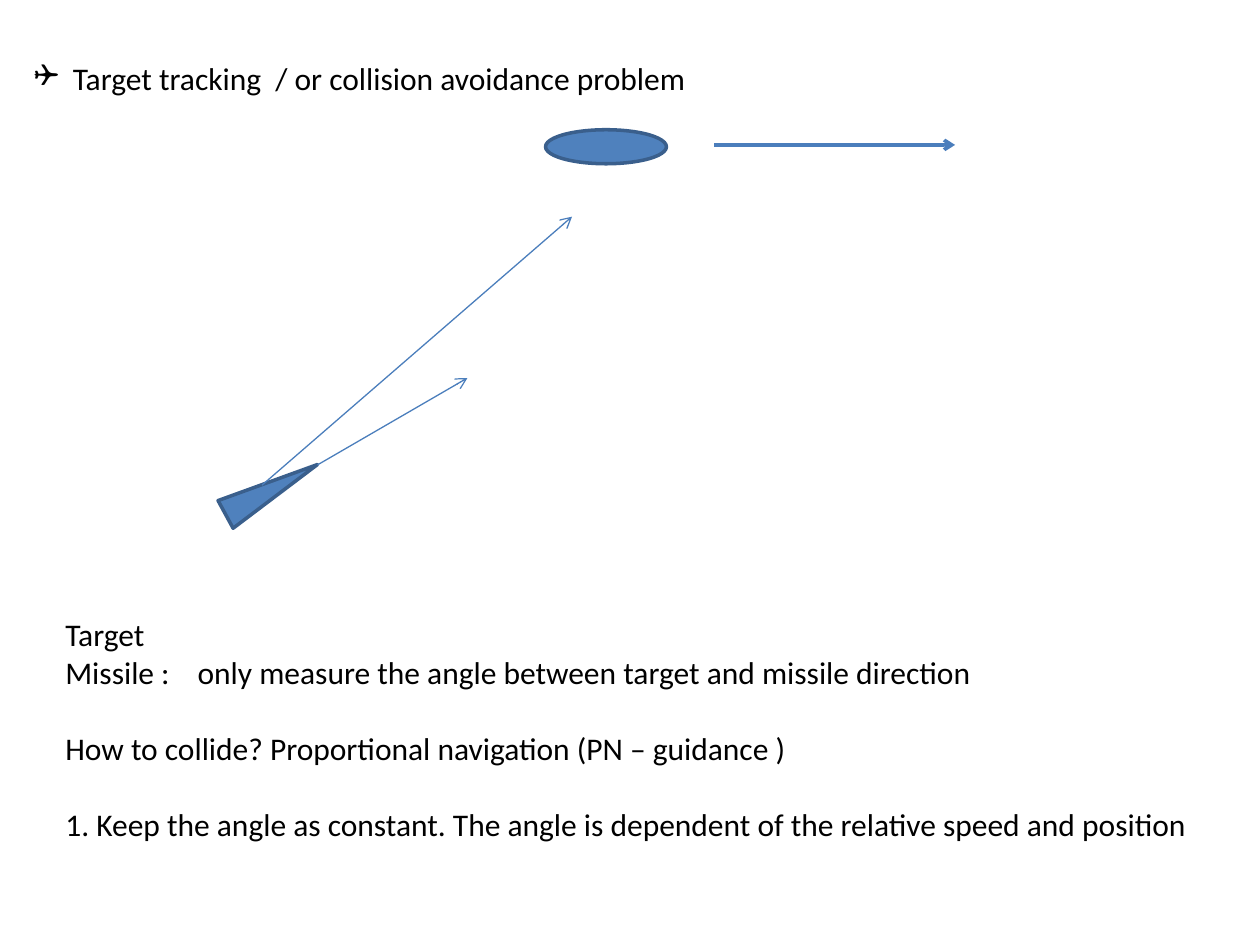
from lxml import etree
from pptx import Presentation
from pptx.dml.color import RGBColor
from pptx.enum import shapes, text
from pptx.oxml.ns import qn
from pptx.util import Inches, Pt

COLORS = {"text": "000000", "fill": "4F81BD", "outline": "3A5F8C", "arrow": "4B7EBC"}
FONT, SIZE = "Calibri", 18
LINE_GAP = 22  # points, one empty line at the body size


def rgb(name):
    return RGBColor.from_string(COLORS[name])


def add_text_box(slide, x, y, w, h, wrap=True):
    tf = slide.shapes.add_textbox(Inches(x), Inches(y), Inches(w), Inches(h)).text_frame
    tf.word_wrap = wrap
    tf.vertical_anchor = text.MSO_ANCHOR.TOP
    return tf


def add_run(p, words):
    r = p.add_run()
    r.text = words
    r.font.name, r.font.size = FONT, Pt(SIZE)
    r.font.color.rgb = rgb("text")


def add_body(slide, kind, x, y, w, h, rotation=0):
    """Add a filled, outlined preset shape."""
    sp = slide.shapes.add_shape(kind, Inches(x), Inches(y), Inches(w), Inches(h))
    sp.rotation = rotation
    sp.shadow.inherit = False
    sp.fill.solid()
    sp.fill.fore_color.rgb = rgb("fill")
    sp.line.color.rgb = rgb("outline")
    sp.line.width = Pt(2)


def add_arrow(slide, x1, y1, x2, y2, width):
    line = slide.shapes.add_connector(
        shapes.MSO_CONNECTOR.STRAIGHT, Inches(x1), Inches(y1), Inches(x2), Inches(y2))
    line.line.color.rgb = rgb("arrow")
    line.line.width = Pt(width)
    etree.SubElement(line.line._get_or_add_ln(), qn("a:tailEnd"), type="arrow")
    etree.SubElement(line._element.spPr, qn("a:effectLst"))


def add_heading(slide, x, y, w, h):
    p = add_text_box(slide, x, y, w, h).paragraphs[0]
    pPr = p._p.get_or_add_pPr()
    indent = Inches(0.31)
    pPr.set("marL", str(indent))
    pPr.set("indent", str(-indent))
    etree.SubElement(pPr, qn("a:buFont"), typeface="Wingdings")
    etree.SubElement(pPr, qn("a:buChar"), char="❑")
    add_run(p, "Target tracking  / or collision avoidance problem")


def add_pursuit_diagram(slide, x, y):
    """Draw the target, the missile and their directions from the corner x, y."""
    kinds = shapes.MSO_SHAPE
    add_body(slide, kinds.OVAL, x + 2.33, y + 0.03, 0.96, 0.27)
    add_body(slide, kinds.ISOSCELES_TRIANGLE, x + 0.03, y + 2.47, 0.25, 0.83, 61.5)
    arrows = [
        (3.67, 0.15, 5.58, 0.15, 2),      # target velocity
        (0.08, 2.85, 2.54, 0.72, 0.75),   # line of sight
        (0.52, 2.69, 1.71, 2.00, 0.75),   # missile direction
    ]
    for x1, y1, x2, y2, width in arrows:
        add_arrow(slide, x + x1, y + y1, x + x2, y + y2, width)


def add_notes_text(slide, x, y, w, h):
    """Write the explanation below the diagram."""
    tf = add_text_box(slide, x, y, w, h, wrap=False)
    lines = [
        ("Target", 0),
        ("Missile :\tonly measure the angle between target and missile direction", 0),
        ("How to collide? Proportional navigation (PN – guidance )", LINE_GAP),
        ("1. Keep the angle as constant. The angle is dependent of the relative "
         "speed and position", LINE_GAP),
    ]
    for i, (words, gap) in enumerate(lines):
        p = tf.paragraphs[0] if i == 0 else tf.add_paragraph()
        p.space_before = Pt(gap)
        if "\t" in words:
            tabs = etree.SubElement(p._p.get_or_add_pPr(), qn("a:tabLst"))
            etree.SubElement(tabs, qn("a:tab"), pos=str(Inches(1.05)), algn="l")
        add_run(p, words)


def main():
    prs = Presentation()
    prs.slide_width, prs.slide_height = Inches(10), Inches(7.5)
    slide = prs.slides.add_slide(prs.slide_layouts[6])
    add_heading(slide, 0.17, 0.42, 7.08, 1.01)
    add_pursuit_diagram(slide, 2, 1)
    add_notes_text(slide, 0.42, 4.83, 9.22, 1.92)
    prs.save("out.pptx")


if __name__ == "__main__":
    main()
